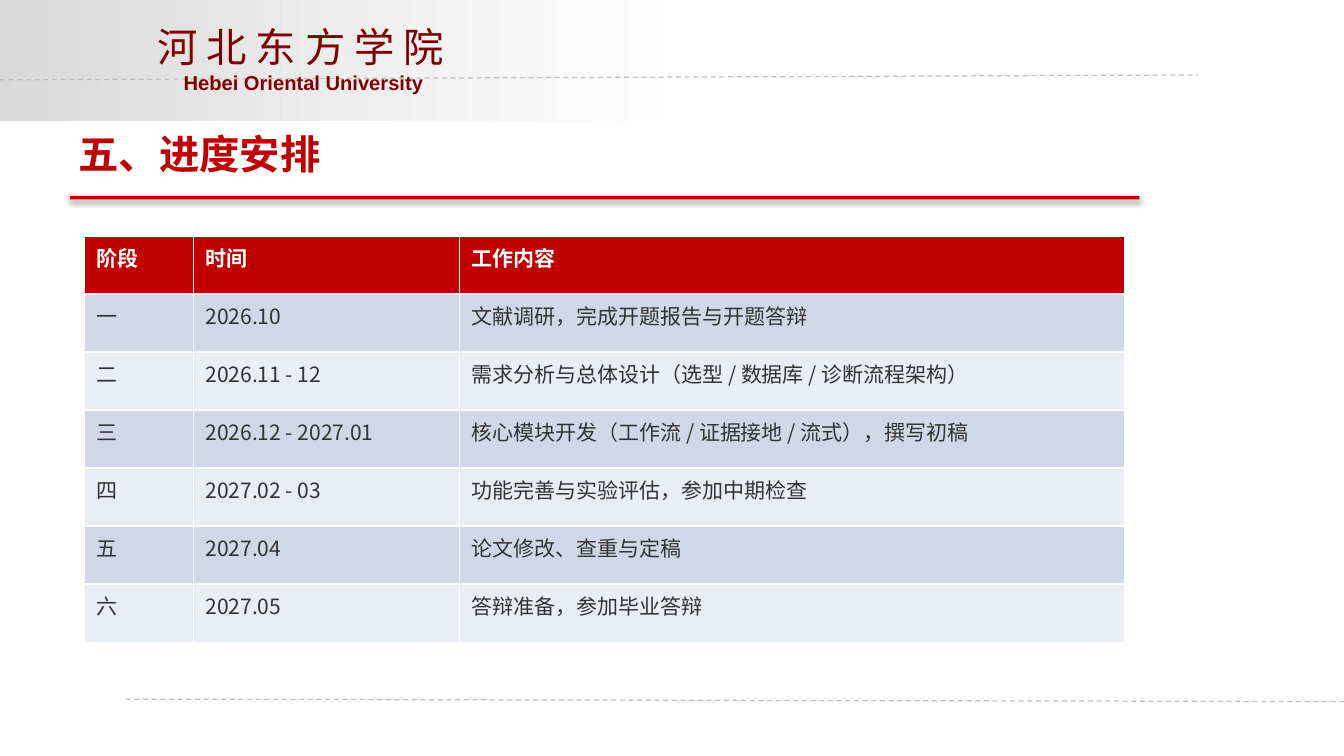
"""Build the thesis schedule slide with its university header and stage table."""
from lxml import etree
from pptx import Presentation
from pptx.dml.color import RGBColor
from pptx.enum.dml import MSO_LINE
from pptx.enum.shapes import MSO_CONNECTOR, MSO_SHAPE
from pptx.enum.text import MSO_ANCHOR, MSO_AUTO_SIZE, PP_ALIGN
from pptx.oxml import parse_xml
from pptx.oxml.ns import nsdecls, qn
from pptx.util import Inches, Pt

RECTANGLE = MSO_SHAPE.RECTANGLE
STRAIGHT = MSO_CONNECTOR.STRAIGHT
DASH = MSO_LINE.DASH
LEFT = PP_ALIGN.LEFT
TOP = MSO_ANCHOR.TOP
NO_AUTOFIT = MSO_AUTO_SIZE.NONE

COLORS = {
    "accent": "C00000",
    "crest": "800000",
    "dash": "BFBFBF",
    "header_grey": "D9D9D9",
    "white": "FFFFFF",
    "body": "333333",
    "odd_row": "D0D8E8",
    "even_row": "E9EDF4",
    "shadow": "000000",
}
CJK = "Noto Sans CJK SC"
CJK_HEADER = "Noto Sans CJK JP"
LATIN = "Arial"

COLUMN_WIDTHS = (0.9, 2.2, 5.5)
ROW_HEIGHT = 0.48
SCHEDULE = (
    ("阶段", "时间", "工作内容"),
    ("一", "2026.10", "文献调研，完成开题报告与开题答辩"),
    ("二", "2026.11 - 12", "需求分析与总体设计（选型 / 数据库 / 诊断流程架构）"),
    ("三", "2026.12 - 2027.01", "核心模块开发（工作流 / 证据接地 / 流式），撰写初稿"),
    ("四", "2027.02 - 03", "功能完善与实验评估，参加中期检查"),
    ("五", "2027.04", "论文修改、查重与定稿"),
    ("六", "2027.05", "答辩准备，参加毕业答辩"),
)


def rgb(color):
    return RGBColor.from_string(COLORS[color])


def write(frame, text, size, color, face, bold=False):
    frame.text = text
    paragraph = frame.paragraphs[0]
    paragraph.alignment = LEFT
    font = paragraph.font
    font.size = Pt(size)
    font.bold = bold
    font.color.rgb = rgb(color)
    font.name = face
    defaults = paragraph._p.pPr.find(qn("a:defRPr"))
    etree.SubElement(defaults, qn("a:ea")).set("typeface", face)


def add_bar(slide, left, top, width, height):
    bar = slide.shapes.add_shape(
        RECTANGLE, Inches(left), Inches(top), Inches(width), Inches(height))
    bar.shadow.inherit = False
    bar.line.fill.background()
    return bar


def add_header_fade(slide):
    fade = add_bar(slide, 0, 0, 9.08, 1)
    stops = "".join(
        f'<a:gs pos="{position * 1000}"><a:srgbClr val="{COLORS[color]}">'
        f'<a:alpha val="{alpha * 1000}"/></a:srgbClr></a:gs>'
        for position, color, alpha in (
            (0, "header_grey", 100), (63, "white", 37), (100, "white", 0)))
    gradient = parse_xml(
        f'<a:gradFill {nsdecls("a")} rotWithShape="1"><a:gsLst>{stops}</a:gsLst>'
        '<a:lin ang="0" scaled="0"/></a:gradFill>')
    fade._element.spPr.find(qn("a:prstGeom")).addnext(gradient)


def add_dashed_rule(slide, x1, y1, x2, y2):
    rule = slide.shapes.add_connector(
        STRAIGHT, Inches(x1), Inches(y1), Inches(x2), Inches(y2))
    rule.line.color.rgb = rgb("dash")
    rule.line.width = Pt(0.75)
    rule.line.dash_style = DASH
    etree.SubElement(rule._element.spPr, qn("a:effectLst"))


def add_label(slide, left, top, width, height, text, size, face, bold, wrap):
    label = slide.shapes.add_textbox(
        Inches(left), Inches(top), Inches(width), Inches(height))
    label.text_frame.word_wrap = wrap
    write(label.text_frame, text, size, "crest", face, bold)


def set_title(slide, text):
    title = slide.shapes.title
    title.left, title.top = Inches(0.55), Inches(1.02)
    title.width, title.height = Inches(9), Inches(0.62)
    frame = title.text_frame
    frame.word_wrap = True
    frame.auto_size = NO_AUTOFIT
    frame.vertical_anchor = TOP
    write(frame, text, 24, "accent", CJK, bold=True)


def add_title_underline(slide):
    underline = add_bar(slide, 0.58, 1.62, 8.84, 0.03)
    underline.fill.solid()
    underline.fill.fore_color.rgb = rgb("accent")
    effects = underline._element.spPr.find(qn("a:effectLst"))
    effects.append(parse_xml(
        f'<a:outerShdw {nsdecls("a")} blurRad="{Pt(3.1)}" dist="{Pt(1.8)}" '
        f'dir="5400000" rotWithShape="0"><a:srgbClr val="{COLORS["shadow"]}">'
        '<a:alpha val="35000"/></a:srgbClr></a:outerShdw>'))


def add_schedule(slide):
    table = slide.shapes.add_table(
        len(SCHEDULE), len(COLUMN_WIDTHS), Inches(0.7), Inches(1.95),
        Inches(sum(COLUMN_WIDTHS)), Inches(ROW_HEIGHT * len(SCHEDULE))).table
    for column, width in zip(table.columns, COLUMN_WIDTHS):
        column.width = Inches(width)
    for index, (row, entries) in enumerate(zip(table.rows, SCHEDULE)):
        row.height = Inches(ROW_HEIGHT)
        heading = index == 0
        stripe = "odd_row" if index % 2 else "even_row"
        for cell, text in zip(row.cells, entries):
            cell.fill.solid()
            cell.fill.fore_color.rgb = rgb("accent" if heading else stripe)
            write(cell.text_frame, text, 12.5,
                  "white" if heading else "body", CJK, heading)


def main():
    deck = Presentation()
    deck.slide_width, deck.slide_height = Inches(11.11), Inches(6.25)
    slide = deck.slides.add_slide(deck.slide_layouts.get_by_name("Title Only"))
    for _ in range(2):
        add_header_fade(slide)
    add_dashed_rule(slide, 0, 0.66, 9.9, 0.62)
    add_dashed_rule(slide, 1.04, 5.78, 11.11, 5.8)
    add_label(slide, 1.2, 0.13, 3.48, 0.51, "河 北 东 方 学 院",
              24, CJK_HEADER, bold=False, wrap=True)
    add_label(slide, 1.42, 0.53, 2.2, 0.3, "Hebei Oriental University",
              12, LATIN, bold=True, wrap=False)
    set_title(slide, "五、进度安排")
    add_title_underline(slide)
    add_schedule(slide)
    deck.save("out.pptx")


if __name__ == "__main__":
    main()
